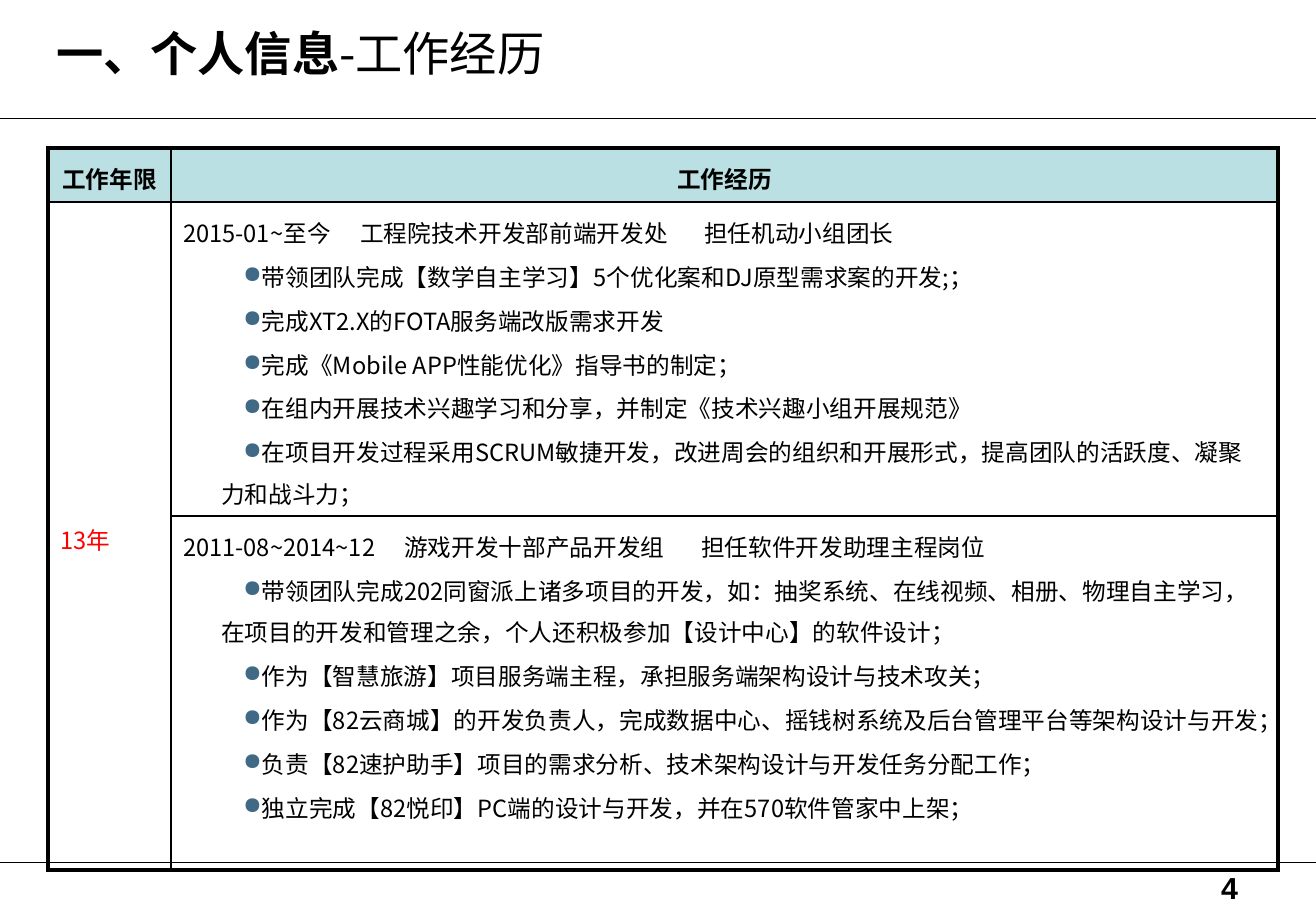
"""Build the work-experience slide with its title, rules and table."""
from lxml import etree
from pptx import Presentation
from pptx import util as u
from pptx.dml.color import RGBColor
from pptx.enum import shapes, text
from pptx.oxml import ns

SCALE = 7526
WIDTH, HEIGHT = 1316, 911
FONT = "Noto Sans CJK SC"
COLORS = {"ink": "000000", "accent": "FF0000", "header": "BBE0E3", "bullet": "3F6985"}
COLUMNS = [123, 1107]
ROWS = [54, 314, 354]
JOBS = [
    {
        "heading": "2015-01~至今\t工程院技术开发部前端开发处\t担任机动小组团长",
        "tabs": [177, 521],
        "duties": [
            "带领团队完成【数学自主学习】5个优化案和DJ原型需求案的开发;；",
            "完成XT2.X的FOTA服务端改版需求开发",
            "完成《Mobile APP性能优化》指导书的制定；",
            "在组内开展技术兴趣学习和分享，并制定《技术兴趣小组开展规范》",
            "在项目开发过程采用SCRUM敏捷开发，改进周会的组织和开展形式，提高团队的活跃度、凝聚力和战斗力；",
        ],
    },
    {
        "heading": "2011-08~2014~12\t游戏开发十部产品开发组\t担任软件开发助理主程岗位",
        "tabs": [221, 518],
        "duties": [
            "带领团队完成202同窗派上诸多项目的开发，如：抽奖系统、在线视频、相册、物理自主学习，在项目的开发和管理之余，个人还积极参加【设计中心】的软件设计；",
            "作为【智慧旅游】项目服务端主程，承担服务端架构设计与技术攻关；",
            "作为【82云商城】的开发负责人，完成数据中心、摇钱树系统及后台管理平台等架构设计与开发；",
            "负责【82速护助手】项目的需求分析、技术架构设计与开发任务分配工作；",
            "独立完成【82悦印】PC端的设计与开发，并在570软件管家中上架；",
        ],
    },
]


def px(count):
    return u.Emu(count * SCALE)


def rgb(name):
    return RGBColor.from_string(COLORS[name])


def add_node(parent, tag, **attributes):
    return etree.SubElement(parent, ns.qn(tag), attributes)


def style_font(font, size, color="ink", bold=False, name=FONT):
    font.size, font.bold, font.name = u.Pt(size), bold, name
    font.color.rgb = rgb(color)


def add_rule(page, y):
    rule = page.shapes.add_connector(
        shapes.MSO_CONNECTOR.STRAIGHT, px(0), px(y), px(WIDTH), px(y))
    rule.line.color.rgb = rgb("ink")
    rule.line.width = u.Pt(0.25)
    add_node(rule._element.spPr, "a:effectLst")


def add_title(page, topic, detail):
    box = page.shapes.title
    box.left, box.top, box.width, box.height = map(px, (44, 24, 1185, 57))
    frame = box.text_frame
    frame.auto_size = text.MSO_AUTO_SIZE.NONE
    frame.vertical_anchor = text.MSO_ANCHOR.TOP
    frame.margin_top = 0
    para = frame.paragraphs[0]
    para.alignment = text.PP_ALIGN.LEFT
    for words, bold in ((topic, True), (detail, False)):
        span = para.add_run()
        span.text = words
        style_font(span.font, 28, bold=bold)


def add_page_number(page, number):
    box = page.shapes.add_textbox(px(1175), px(863), px(75), px(41))
    box.text_frame.word_wrap = True
    para = box.text_frame.paragraphs[0]
    para.text = number
    para.alignment = text.PP_ALIGN.RIGHT
    style_font(para.font, 18, bold=True, name="Arial")


def set_borders(cell, row, column):
    props = cell._tc.get_or_add_tcPr()
    last_row = row + (cell.span_height if cell.is_merge_origin else 1)
    outer = {
        "a:lnL": column == 0,
        "a:lnR": column == len(COLUMNS) - 1,
        "a:lnT": row == 0,
        "a:lnB": last_row == len(ROWS),
    }
    for tag, is_outer in outer.items():
        line = add_node(props, tag, w=str(u.Pt(2.25 if is_outer else 1)))
        fill = add_node(line, "a:solidFill")
        add_node(fill, "a:srgbClr", val=COLORS["ink"])


def write_label(cell, words, color="ink", bold=False, align=text.PP_ALIGN.LEFT):
    cell.vertical_anchor = text.MSO_ANCHOR.MIDDLE
    para = cell.text_frame.paragraphs[0]
    para.text = words
    para.alignment = align
    para.line_spacing = 1.2
    style_font(para.font, 14, color, bold)


def write_job(cell, job):
    heading = cell.text_frame.paragraphs[0]
    heading.text = job["heading"]
    heading.line_spacing = 1.2
    stops = add_node(heading._p.get_or_add_pPr(), "a:tabLst")
    for stop in job["tabs"]:
        add_node(stops, "a:tab", pos=str(px(stop)), algn="l")
    style_font(heading.font, 14)
    for duty in job["duties"]:
        para = cell.text_frame.add_paragraph()
        para.text = duty
        para.line_spacing = 1.2
        para.space_before = u.Pt(1.5)
        props = para._p.get_or_add_pPr()
        props.set("marL", str(px(38)))
        props.set("indent", str(px(22)))
        add_node(add_node(props, "a:buClr"), "a:srgbClr", val=COLORS["bullet"])
        add_node(props, "a:buChar", char="●")
        style_font(para.font, 14)


def add_experience_table(page):
    frame = page.shapes.add_table(
        len(ROWS), len(COLUMNS), px(48), px(148), px(sum(COLUMNS)), px(sum(ROWS)))
    table = frame.table
    table.horz_banding = False
    for column, width in zip(table.columns, COLUMNS):
        column.width = px(width)
    for row, height in zip(table.rows, ROWS):
        row.height = px(height)
    table.cell(1, 0).merge(table.cell(2, 0))
    for row in range(len(ROWS)):
        for column in range(len(COLUMNS)):
            cell = table.cell(row, column)
            if not cell.is_spanned:
                set_borders(cell, row, column)
            if row == 0:
                cell.fill.solid()
                cell.fill.fore_color.rgb = rgb("header")
            else:
                cell.fill.background()
    for column, words in enumerate(("工作年限", "工作经历")):
        write_label(table.cell(0, column), words, bold=True, align=text.PP_ALIGN.CENTER)
    write_label(table.cell(1, 0), "13年", color="accent")
    for row, job in enumerate(JOBS, start=1):
        write_job(table.cell(row, 1), job)


def main():
    deck = Presentation()
    deck.slide_width, deck.slide_height = px(WIDTH), px(HEIGHT)
    page = deck.slides.add_slide(deck.slide_layouts[5])
    for y in (118, 862):
        add_rule(page, y)
    add_title(page, "一、个人信息", "-工作经历")
    add_page_number(page, "4")
    add_experience_table(page)
    deck.save("out.pptx")


if __name__ == "__main__":
    main()
